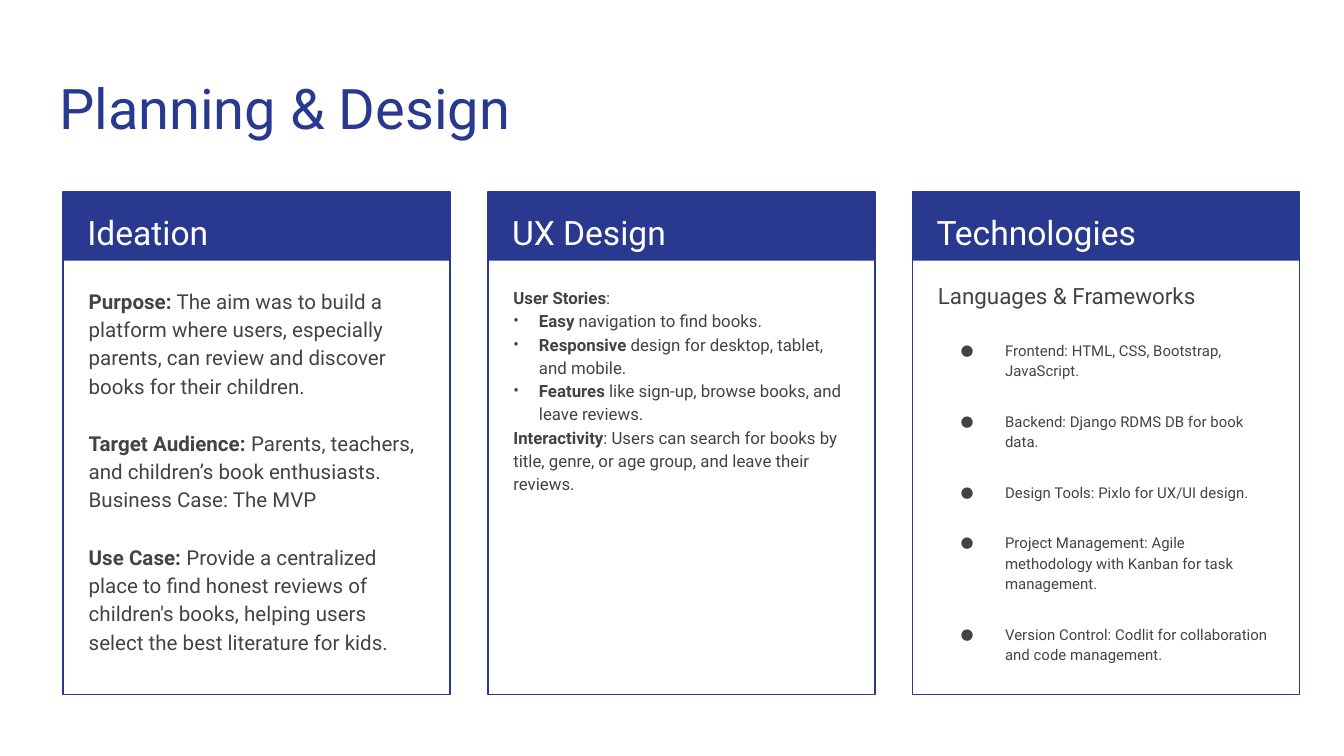
from lxml import etree
from pptx import Presentation
from pptx.dml.color import RGBColor
from pptx.enum.shapes import MSO_SHAPE
from pptx.enum.text import MSO_ANCHOR, MSO_AUTO_SIZE, PP_ALIGN
from pptx.oxml.ns import qn
from pptx.util import Inches, Pt

RECT = MSO_SHAPE.RECTANGLE
TOP = MSO_ANCHOR.TOP
LEFT = PP_ALIGN.LEFT
FIXED = MSO_AUTO_SIZE.NONE

# Content: each paragraph is (style, bold lead, plain rest)
TITLE = "Planning & Design"
CARDS = [
    ("Ideation", 2.02, [
        ("text", "Purpose:", " The aim was to build a platform where users, especially "
                             "parents, can review and discover books for their children."),
        ("part", "Target Audience:", " Parents, teachers, and children’s book enthusiasts."),
        ("text", "", "Business Case: The MVP"),
        ("part", "Use Case:", " Provide a centralized place to find honest reviews of "
                              "children's books, helping users select the best literature for kids."),
    ]),
    ("UX Design", 2.02, [
        ("small", "User Stories", ":"),
        ("dot", "Easy", " navigation to find books."),
        ("dot", "Responsive", " design for desktop, tablet, and mobile."),
        ("dot", "Features", " like sign-up, browse books, and leave reviews."),
        ("small", "Interactivity", ": Users can search for books by title, genre, "
                                   "or age group, and leave their reviews."),
    ]),
    ("Technologies", 1.97, [
        ("lead", "", "Languages & Frameworks"),
        ("tool", "", "Frontend: HTML, CSS, Bootstrap, JavaScript."),
        ("tool", "", "Backend: Django RDMS DB for book data."),
        ("tool", "", "Design Tools: Pixlo for UX/UI design."),
        ("tool", "", "Project Management: Agile methodology with Kanban for task management."),
        ("tool", "", "Version Control: Codlit for collaboration and code management."),
    ]),
]

# Theme: colours, and per style size, colour, space before, bullet, indents
BLUE, GREY, WHITE = (RGBColor.from_string(c) for c in ("2A3990", "434343", "FFFFFF"))
THEME = {
    "font": "Roboto",
    "title": dict(size=30, color=BLUE, line=1.0),
    "head": dict(size=18, color=WHITE),
    "text": dict(size=11, color=GREY),
    "part": dict(size=11, color=GREY, before=15.5),
    "small": dict(size=9, color=GREY),
    "dot": dict(size=9, color=GREY, mark="•", left=0.19, hang=0.19),
    "lead": dict(size=12, color=GREY),
    "tool": dict(size=8, color=GREY, before=16, mark="●", left=0.5, hang=0.33),
}

# Grid: a 16:9 page with three equal cards
PAGE = 10
X, Y, STEP = 0.47, 1.43, 3.16
WIDE, TALL, BAR = 2.88, 3.74, 0.51


def put(shape, box):
    for name, value in zip(("left", "top", "width", "height"), box):
        setattr(shape, name, Inches(value))


def write(shape, box, rows):
    put(shape, box)
    frame = shape.text_frame
    form = dict(word_wrap=True, auto_size=FIXED, vertical_anchor=TOP)
    for side in ("left", "top", "right", "bottom"):
        form[f"margin_{side}"] = Inches(0.1)
    for name, value in form.items():
        setattr(frame, name, value)
    for i, (kind, bold, plain) in enumerate(rows):
        para = frame.paragraphs[0] if i == 0 else frame.add_paragraph()
        style = THEME[kind]
        form = dict(alignment=LEFT, line_spacing=style.get("line", 1.15),
                    space_before=Pt(style.get("before", 0)), space_after=Pt(0))
        for name, value in form.items():
            setattr(para, name, value)
        for text, heavy in ((bold, True), (plain, False)):
            if text:
                run = para.add_run()
                run.text = text
                form = dict(name=THEME["font"], size=Pt(style["size"]), bold=heavy)
                for name, value in form.items():
                    setattr(run.font, name, value)
                run.font.color.rgb = style["color"]
        mark_up(para, style)


def mark_up(para, style):
    props = para._p.get_or_add_pPr()
    props.set("marL", str(Inches(style.get("left", 0))))
    props.set("indent", str(-Inches(style.get("hang", 0))))
    if "mark" in style:
        tint = etree.SubElement(props, qn("a:buClr"))
        etree.SubElement(tint, qn("a:srgbClr")).set("val", str(style["color"]))
        etree.SubElement(props, qn("a:buFont")).set("typeface", THEME["font"])
        etree.SubElement(props, qn("a:buChar")).set("char", style["mark"])
    else:
        etree.SubElement(props, qn("a:buNone"))


def draw_card(slide, x):
    group = slide.shapes.add_group_shape()
    bar, frame = (group.shapes.add_shape(RECT, Inches(x), Inches(Y), Inches(WIDE), Inches(h))
                  for h in (BAR, TALL))
    bar.fill.solid()
    bar.fill.fore_color.rgb = BLUE
    bar.line.fill.background()
    frame.fill.background()
    frame.line.color.rgb = BLUE
    frame.line.width = Pt(0.75)
    for part in (bar, frame):
        part.shadow.inherit = False


def main():
    deck = Presentation()
    deck.slide_width, deck.slide_height = Inches(PAGE), Inches(PAGE * 9 / 16)
    slide = deck.slides.add_slide(deck.slide_layouts.get_by_name("Comparison"))
    slots = [s for s in slide.placeholders if 0 < s.placeholder_format.idx < 10]

    # Title
    write(slide.shapes.title, (0.34, 0.45, 9.32, 0.66), [("title", "", TITLE)])

    # Cards: placeholders first, text boxes once they run out
    for i, (head, top, rows) in enumerate(CARDS):
        x = X + i * STEP
        draw_card(slide, x)
        for box, lines in (((x + 0.08, Y, 2.73, 0.5), [("head", "", head)]),
                           ((x + 0.09, top, 2.71, 3.06), rows)):
            if slots:
                shape = slots.pop(0)
                tree = shape.element.getparent()
                tree.append(shape.element)  # bring in front of the card
            else:
                shape = slide.shapes.add_textbox(0, 0, 0, 0)
            write(shape, box, lines)

    deck.save("out.pptx")


if __name__ == "__main__":
    main()
